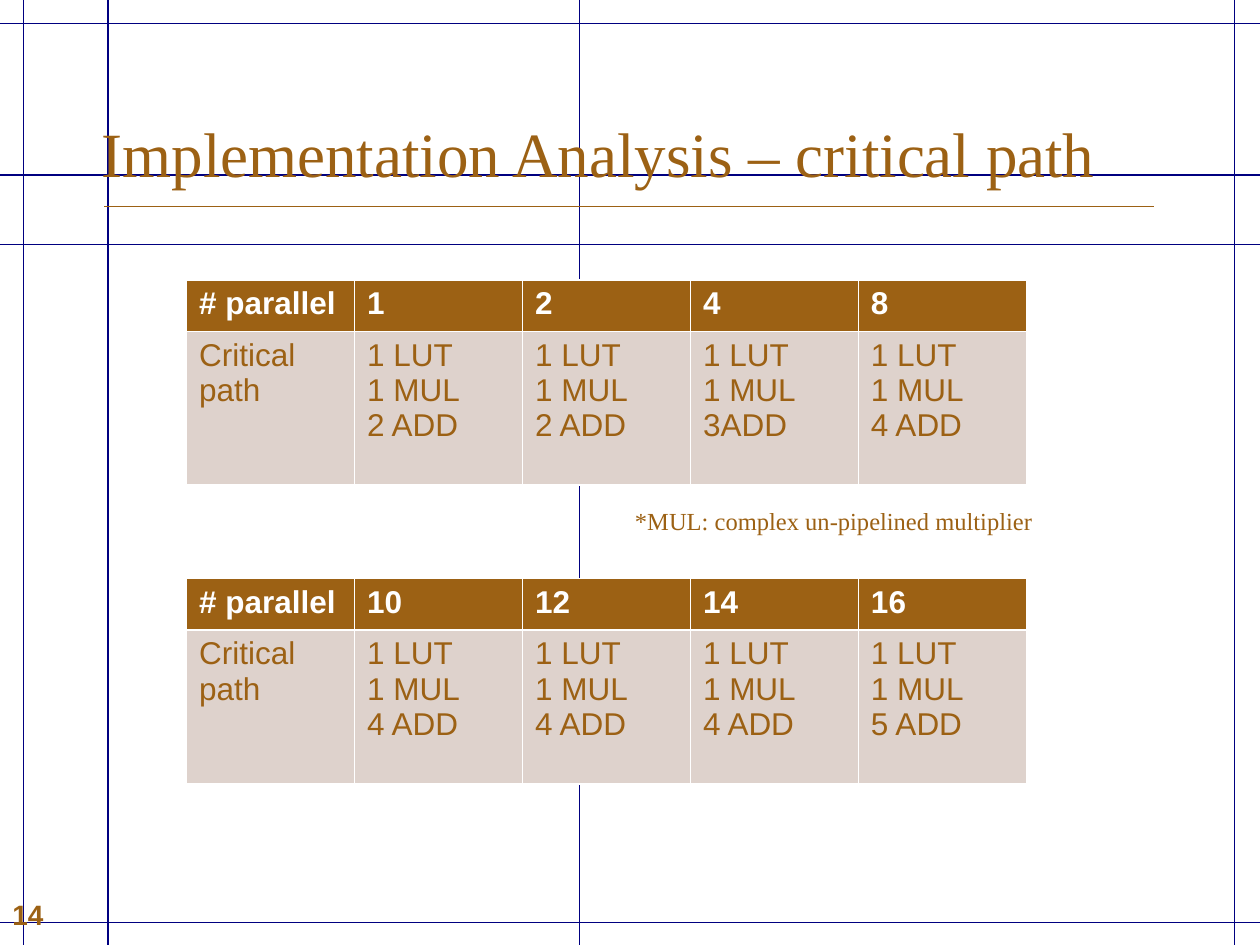
from collections import namedtuple
from dataclasses import dataclass

from lxml import etree
from pptx import Presentation
from pptx.dml.color import RGBColor
from pptx.enum.shapes import MSO_CONNECTOR
from pptx.enum.text import MSO_ANCHOR, PP_ALIGN
from pptx.oxml.ns import qn
from pptx.util import Cm, Pt

STRAIGHT = MSO_CONNECTOR.STRAIGHT
TOP, BOTTOM = MSO_ANCHOR.TOP, MSO_ANCHOR.BOTTOM
LEFT = PP_ALIGN.LEFT

Box = namedtuple("Box", "x y w h")


@dataclass(frozen=True)
class Theme:
    brown: RGBColor = RGBColor(0x9C, 0x61, 0x14)
    navy: RGBColor = RGBColor(0x00, 0x00, 0x80)
    tint: RGBColor = RGBColor(0xDE, 0xD2, 0xCC)
    white: RGBColor = RGBColor(0xFF, 0xFF, 0xFF)
    serif: str = "Times New Roman"
    sans: str = "Arial"
    title: Pt = Pt(36)
    table: Pt = Pt(18)
    number: Pt = Pt(16)
    note: Pt = Pt(14)
    line: Pt = Pt(0.75)


THEME = Theme()
PAGE = Box(0, 0, 25.4, 19.05)
GRID_ROWS = (0.48, 3.53, 4.93, 18.59)
GRID_COLS = (0.48, 2.18, 11.68, 24.89)
HEADER_H, BODY_H = 1.04, 3.1

TABLES = (
    (Box(3.76, 5.64, 16.93, HEADER_H + BODY_H),
     {"1": "2 ADD", "2": "2 ADD", "4": "3ADD", "8": "4 ADD"}),
    (Box(3.76, 11.66, 16.93, HEADER_H + BODY_H),
     {"10": "4 ADD", "12": "4 ADD", "14": "4 ADD", "16": "5 ADD"}),
)


def style_text(tf, font, size, color, bold=False):
    for p in tf.paragraphs:
        p.alignment = LEFT
        for r in p.runs:
            r.font.name = font
            r.font.size = size
            r.font.bold = bold
            r.font.color.rgb = color


def add_line(s, x1, y1, x2, y2, color):
    line = s.shapes.add_connector(STRAIGHT, Cm(x1), Cm(y1), Cm(x2), Cm(y2))
    line.line.color.rgb = color
    line.line.width = THEME.line
    etree.SubElement(line._element.spPr, qn("a:effectLst"))


def add_grid(s, box):
    for y in GRID_ROWS:
        add_line(s, box.x, box.y + y, box.x + box.w, box.y + y, THEME.navy)
    for x in GRID_COLS:
        add_line(s, box.x + x, box.y, box.x + x, box.y + box.h, THEME.navy)


def add_title(s, box, text):
    sp = s.shapes.title
    sp.left, sp.top, sp.width, sp.height = map(Cm, box)
    tf = sp.text_frame
    tf.text = text
    tf.vertical_anchor = BOTTOM
    style_text(tf, THEME.serif, THEME.title, THEME.brown)
    rule_y = box.y + box.h + 0.2
    add_line(s, box.x + 0.3, rule_y, box.x + box.w, rule_y, THEME.brown)
    s.shapes._spTree.append(sp._element)


def add_text(s, box, text, font, size, bold=False):
    tf = s.shapes.add_textbox(*map(Cm, box)).text_frame
    tf.word_wrap = True
    tf.vertical_anchor = TOP
    tf.margin_top = Cm(0.05)
    tf.text = text
    style_text(tf, font, size, THEME.brown, bold)


def add_path_table(s, box, adders):
    columns = [("# parallel", "Critical path")]
    columns += [(n, f"1 LUT\n1 MUL\n{add}") for n, add in adders.items()]
    table = s.shapes.add_table(2, len(columns), *map(Cm, box)).table
    table.rows[0].height = Cm(HEADER_H)
    table.rows[1].height = Cm(box.h - HEADER_H)
    looks = ((THEME.brown, THEME.white, True), (THEME.tint, THEME.brown, False))
    for c, texts in enumerate(columns):
        table.columns[c].width = Cm(box.w / len(columns))
        for r, (text, (fill, color, bold)) in enumerate(zip(texts, looks)):
            cell = table.cell(r, c)
            cell.fill.solid()
            cell.fill.fore_color.rgb = fill
            cell.text_frame.text = text
            style_text(cell.text_frame, THEME.sans, THEME.table, color, bold)


def main():
    prs = Presentation()
    prs.slide_width, prs.slide_height = Cm(PAGE.w), Cm(PAGE.h)
    s = prs.slides.add_slide(prs.slide_layouts[5])
    add_grid(s, PAGE)
    add_title(s, Box(1.8, 0.79, 21.46, 3.17),
              "Implementation Analysis – critical path")
    add_text(s, Box(0, 18.05, 1.47, 0.84), "14", THEME.sans, THEME.number, True)
    for box, adders in TABLES:
        add_path_table(s, box, adders)
    add_text(s, Box(12.55, 10.16, 10.87, 1.17),
             "*MUL: complex un-pipelined multiplier", THEME.serif, THEME.note)
    prs.save("out.pptx")


if __name__ == "__main__":
    main()
